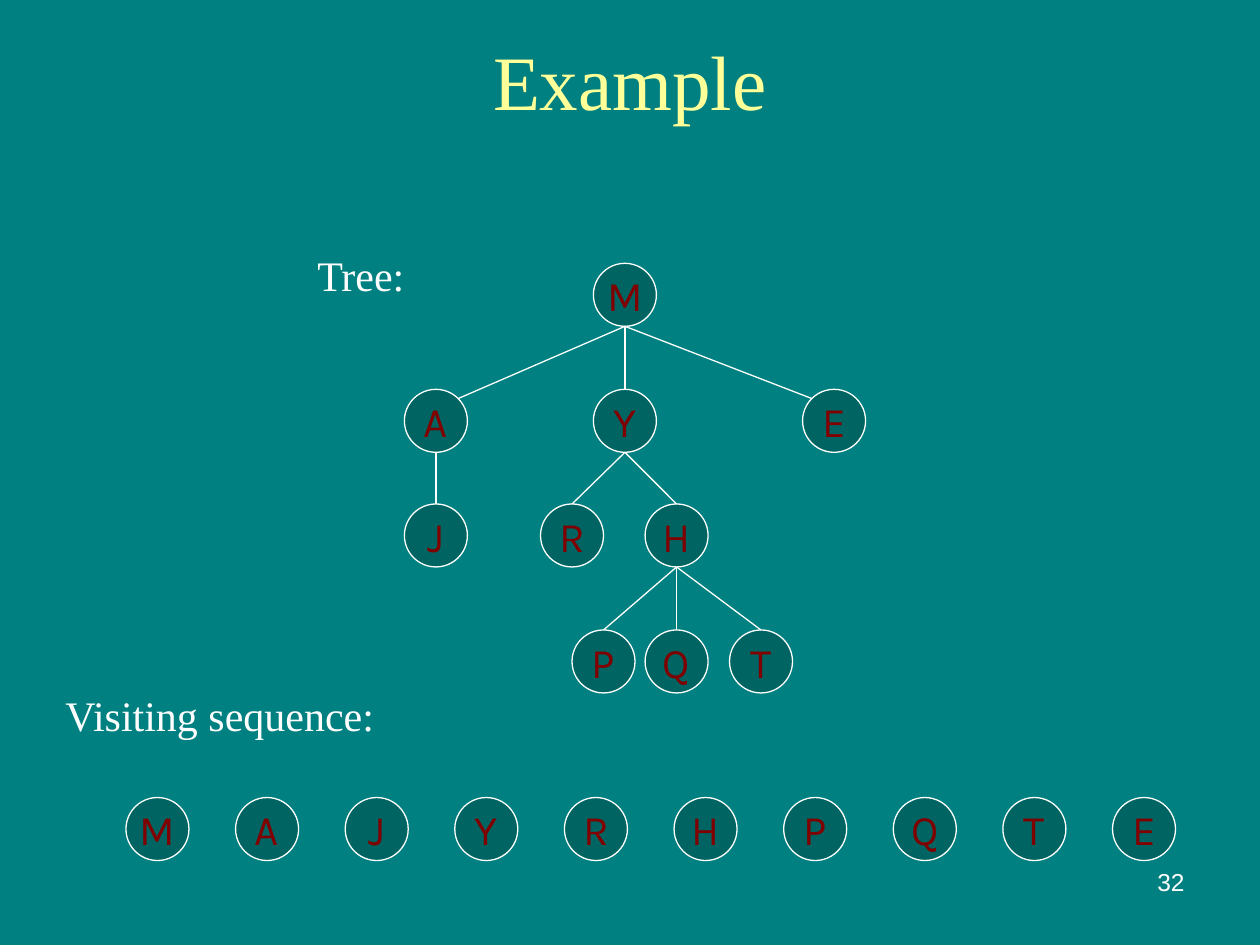
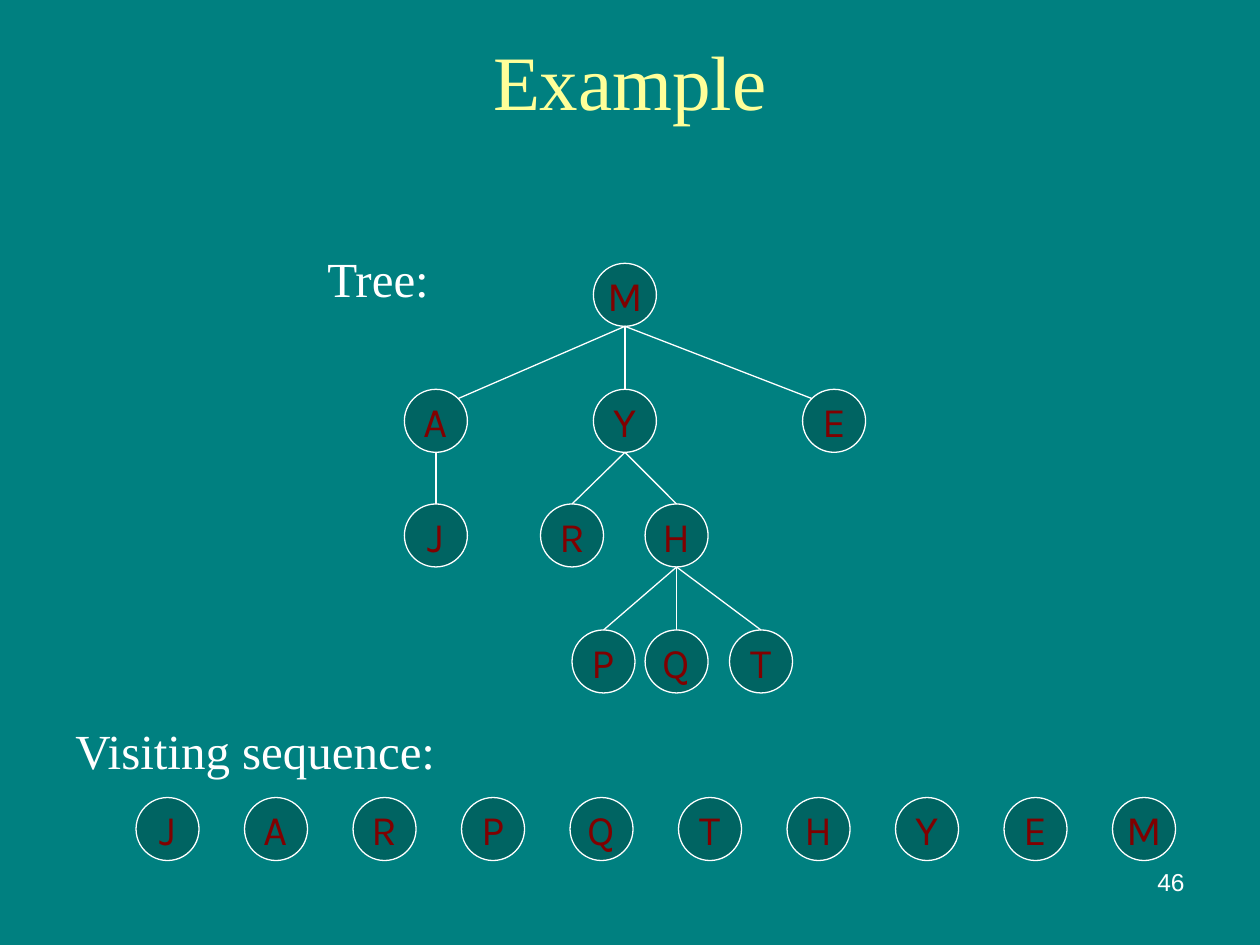
from dataclasses import dataclass
from math import sqrt

from lxml.etree import SubElement
from pptx import Presentation
from pptx.dml.color import RGBColor as Color
from pptx.enum.shapes import MSO_CONNECTOR as Connector, MSO_SHAPE as Shape
from pptx.enum.text import MSO_ANCHOR as Anchor, PP_ALIGN as Align
from pptx.oxml.ns import qn
from pptx.util import Inches, Pt


@dataclass(frozen=True)
class Theme:
    """Colours, fonts and type sizes shared by the pages."""
    background: str = "008080"
    title: str = "FFFF99"
    text: str = "FFFFFF"
    node_fill: str = "006462"
    node_text: str = "800000"
    serif: str = "Times New Roman"
    sans: str = "Arial"
    node_font: str = "Karla"
    title_size: int = 44
    node_size: int = 24
    number_size: int = 14
    line_width: float = 0.75


THEME = Theme()
TITLE_ONLY = 5
NODE = 0.5
SEQUENCE_TOP = 6.33
SEQUENCE_END = 8.83
WIDE_BRANCH = 1.0
TREE_NODES = {
    "A": (3.21, 3.09), "R": (4.29, 4), "E": (6.37, 3.09), "Y": (4.71, 3.09),
    "P": (4.54, 5), "M": (4.71, 2.09), "H": (5.12, 4), "J": (3.21, 4),
    "Q": (5.12, 5), "T": (5.79, 5),
}
BRANCHES = {"M": "AYE", "Y": "RH", "A": "J", "H": "PQT"}


def style_text(frame, size, font, color, align=Align.LEFT):
    """Give every paragraph and run of a frame one look."""
    for para in frame.paragraphs:
        para.alignment = align
        for span in para.runs:
            span.font.size = Pt(size)
            span.font.name = font
            span.font.color.rgb = Color.from_string(color)


def add_title(page, text):
    """Fill and place the title of a page."""
    title = page.shapes.title
    title.left, title.top = Inches(0.5), Inches(0.17)
    title.width, title.height = Inches(9), Inches(0.92)
    title.text_frame.text = text
    title.text_frame.vertical_anchor = Anchor.MIDDLE
    style_text(title.text_frame, THEME.title_size, THEME.serif, THEME.title, Align.CENTER)


def add_text(page, text, place, size, font=THEME.serif, align=Align.LEFT):
    """Add a text box at left, top, width, height."""
    box = page.shapes.add_textbox(*map(Inches, place))
    box.text_frame.word_wrap = True
    box.text_frame.text = text
    style_text(box.text_frame, size, font, THEME.text, align)


def style_line(line):
    """Apply the shared outline."""
    line.color.rgb = Color.from_string(THEME.text)
    line.width = Pt(THEME.line_width)


def add_node(shapes, letter, left, top):
    """Add a round node with its letter."""
    node = shapes.add_shape(Shape.OVAL, *map(Inches, (left, top, NODE, NODE)))
    node.shadow.inherit = False
    node.fill.solid()
    node.fill.fore_color.rgb = Color.from_string(THEME.node_fill)
    style_line(node.line)
    frame = node.text_frame
    frame.word_wrap = False
    frame.vertical_anchor = Anchor.MIDDLE
    frame.text = letter
    style_text(frame, THEME.node_size, THEME.node_font, THEME.node_text, Align.CENTER)


def add_branch(shapes, parent, child):
    """Draw a line from the foot of a parent to the rim of a child."""
    radius = NODE / 2
    start_x, start_y = TREE_NODES[parent][0] + radius, TREE_NODES[parent][1] + NODE
    end_x, end_y = TREE_NODES[child][0] + radius, TREE_NODES[child][1]
    reach = start_x - end_x
    if abs(reach) > WIDE_BRANCH:
        diagonal = radius / sqrt(2)
        end_x += diagonal if reach > 0 else -diagonal
        end_y += radius - diagonal
    branch = shapes.add_connector(
        Connector.STRAIGHT, *map(Inches, (start_x, start_y, end_x, end_y)))
    style_line(branch.line)
    SubElement(branch.element.spPr, qn("a:effectLst"))


def add_tree(page):
    """Add the tree as one group."""
    shapes = page.shapes.add_group_shape().shapes
    for letter, (left, top) in TREE_NODES.items():
        add_node(shapes, letter, left, top)
    for parent, children in BRANCHES.items():
        for child in children:
            add_branch(shapes, parent, child)


def add_sequence(page, letters, start):
    """Spread the visited nodes evenly along the bottom."""
    pitch = (SEQUENCE_END - start) / (len(letters) - 1)
    for index, letter in enumerate(letters):
        add_node(page.shapes, letter, start + index * pitch, SEQUENCE_TOP)


def add_example(deck, letters, start, tree_at, sequence_at, label_size, number):
    """Add a page with the tree and one visiting sequence."""
    page = deck.slides.add_slide(deck.slide_layouts[TITLE_ONLY])
    add_title(page, "Example")
    add_sequence(page, letters, start)
    add_tree(page)
    add_text(page, "Tree:", (*tree_at, 1.2, 0.55), label_size)
    add_text(page, "Visiting sequence:", (*sequence_at, 3.9, 0.55), label_size)
    add_text(page, number, (7.17, 6.83, 2.33, 0.52), THEME.number_size, THEME.sans, Align.RIGHT)


def main():
    """Build and save the deck."""
    deck = Presentation()
    deck.slide_width, deck.slide_height = Inches(10), Inches(7.5)
    backdrop = deck.slide_master.background.fill
    backdrop.solid()
    backdrop.fore_color.rgb = Color.from_string(THEME.background)
    add_example(deck, "MAJYRHPQTE", 1, (2.42, 1.93), (0.42, 5.42), 24, "32")
    add_example(deck, "JARPQTHYEM", 1.08, (2.5, 1.92), (0.5, 5.67), 28, "46")
    deck.save("out.pptx")


if __name__ == "__main__":
    main()
